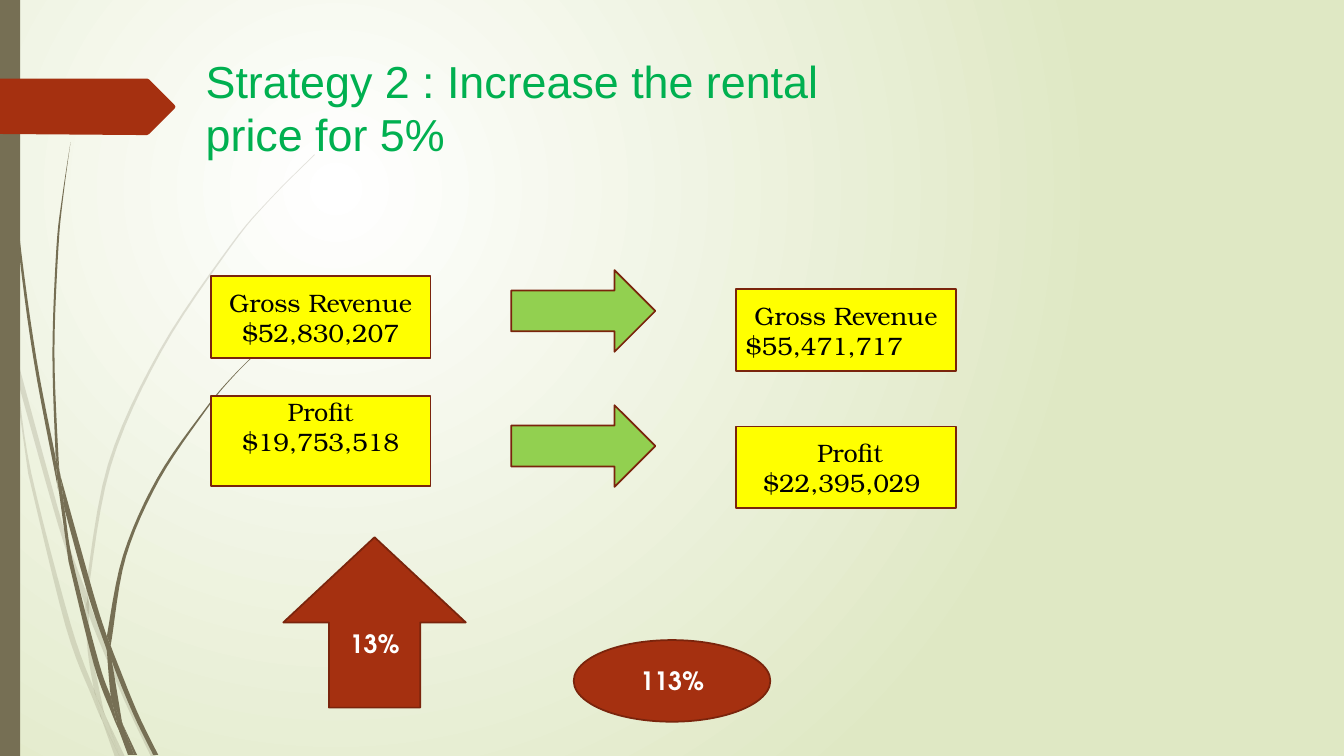
"""Build the rental price strategy slide."""
from dataclasses import dataclass

from lxml import etree
from pptx import Presentation
from pptx.dml.color import RGBColor
from pptx.enum.shapes import MSO_SHAPE
from pptx.enum.text import MSO_ANCHOR, MSO_AUTO_SIZE, PP_ALIGN
from pptx.oxml import parse_xml
from pptx.oxml.ns import qn
from pptx.util import Inches, Pt

RECTANGLE, OVAL = MSO_SHAPE.RECTANGLE, MSO_SHAPE.OVAL
RIGHT_ARROW, UP_ARROW = MSO_SHAPE.RIGHT_ARROW, MSO_SHAPE.UP_ARROW
TOP, MIDDLE = MSO_ANCHOR.TOP, MSO_ANCHOR.MIDDLE
LEFT, CENTER = PP_ALIGN.LEFT, PP_ALIGN.CENTER
FIXED_SIZE = MSO_AUTO_SIZE.NONE
TITLE_ONLY = 5


@dataclass(frozen=True)
class Theme:
    """Colours, fonts and sizes of the slide."""
    olive: str = "766F54"
    rust: str = "A53010"
    outline: str = "7A240C"
    yellow: str = "FFFF00"
    lime: str = "92D050"
    green: str = "00B050"
    black: str = "000000"
    white: str = "FFFFFF"
    sage: str = "DFE8C4"
    title_font: str = "Arial"
    figure_font: str = "TeX Gyre Bonum"
    badge_font: str = "TeX Gyre Adventor"
    title_size: int = 32
    body_size: int = 18
    line_width: float = 1.25


THEME = Theme()

PALE_BLADES = [
    ([(0.11, 3.5), (0.09, 3.22), (0, 2.82)], [(0, 2.99), (0.1, 3.44)]),
    ([(0.85, 5.86), (0.62, 5.2), (0.14, 3.45)],
     [(0.17, 3.76), (0.58, 5.22), (0.84, 5.99)]),
    ([(0.88, 5.96), (0.88, 6.1), (1.23, 6.94), (1.5, 7.51)],
     [(1.55, 7.51), (1.27, 6.92), (0.92, 6.07)]),
    ([(1.05, 7.11), (1.19, 7.51)], [(1.24, 7.51)]),
    ([(0.93, 6.83), (0.7, 6.19), (0.31, 4.69), (0.17, 3.76), (0.11, 3.5)],
     [(0.28, 4.7), (0.65, 6.21), (0.92, 6.93), (1.01, 7.14), (0.99, 7.07)]),
    ([(0.84, 5.99), (0.87, 6.46), (0.93, 6.83), (0.96, 6.92), (1.05, 7.11)],
     [(1.03, 7.06), (0.91, 6.46), (0.88, 6.1)]),
    ([(0.88, 5.96), (0.88, 5.84), (1.1, 4.62), (1.6, 3.49), (2.29, 2.45),
      (2.68, 1.98), (3.12, 1.54)],
     [(3.12, 1.53), (2.68, 1.97), (2.28, 2.44), (1.58, 3.48), (1.07, 4.61),
      (0.85, 5.84)]),
    ([(1.01, 7.14), (1.14, 7.51)], [(1.19, 7.51)]),
    ([(0.88, 6.1), (0.88, 5.96), (0.85, 5.86)], [(0.84, 5.99)]),
    ([(0.93, 6.83), (0.99, 7.07), (1.01, 7.14), (1.19, 7.51)],
     [(1.19, 7.51), (1.05, 7.11), (0.96, 6.92)]),
]

DARK_BLADES = [
    ([(0.03, 0), (0.04, 0.48), (0.07, 1.1), (0.17, 2.33), (0.33, 3.55),
      (0.56, 4.77), (0.57, 4.81)],
     [(0.55, 4.53), (0.36, 3.55), (0.19, 2.32), (0.08, 1.09), (0.05, 0.48),
      (0.04, 0)]),
    ([(1.06, 6.31), (0.93, 5.9), (0.6, 4.72)],
     [(0.64, 5.05), (0.88, 5.92), (1.06, 6.45)]),
    ([(1.1, 6.41), (1.11, 6.56), (1.32, 7.08), (1.52, 7.49)],
     [(1.57, 7.49), (1.36, 7.06), (1.13, 6.49)]),
    ([(1.1, 6.91), (0.98, 6.57), (0.72, 5.56), (0.64, 5.05), (0.57, 4.77)],
     [(0.68, 5.57), (0.93, 6.59), (1.11, 7.08), (1.17, 7.22), (1.16, 7.17)]),
    ([(0.6, 4.72), (0.58, 4.53), (0.54, 3.49), (0.58, 2.45), (0.63, 1.93),
      (0.7, 1.41)],
     [(0.7, 1.41), (0.62, 1.93), (0.56, 2.45), (0.52, 3.49), (0.55, 4.49)]),
    ([(1.22, 7.19), (1.33, 7.49)], [(1.36, 7.49)]),
    ([(0.55, 4.49), (0.57, 4.77), (0.64, 5.05)], [(0.6, 4.72)]),
    ([(1.1, 6.41), (1.11, 6.33), (1.25, 5.52), (1.58, 4.76), (2.05, 4.06),
      (2.31, 3.74), (2.61, 3.44)],
     [(2.6, 3.44), (2.31, 3.73), (2.04, 4.05), (1.56, 4.74), (1.22, 5.51),
      (1.06, 6.31)]),
    ([(1.17, 7.22), (1.27, 7.49)], [(1.31, 7.49)]),
    ([(1.06, 6.45), (1.1, 6.91), (1.16, 7.06), (1.22, 7.19)],
     [(1.21, 7.16), (1.11, 6.56), (1.09, 6.51)]),
    ([(1.06, 6.31), (1.06, 6.45), (1.11, 6.56)], [(1.1, 6.41)]),
    ([(1.1, 6.91), (1.16, 7.17), (1.17, 7.22), (1.3, 7.49)],
     [(1.33, 7.49), (1.22, 7.19), (1.16, 7.06)]),
]

TAG = [(0, 0.78), (1.46, 0.78), (1.48, 0.79), (1.73, 1.04), (1.74, 1.06),
       (1.73, 1.08), (1.48, 1.33), (1.46, 1.34), (1.36, 1.34), (0, 1.33)]


def smooth(edge, steps=6):
    """Return points on a smooth curve through the points of an edge."""
    padded = [edge[0], *edge, edge[-1]]
    curve = [edge[0]]
    for before, start, end, after in zip(padded, padded[1:], padded[2:], padded[3:]):
        for step in range(1, steps + 1):
            t = step / steps
            curve.append(tuple(
                b + (c - a) * t / 2
                + (2 * a - 5 * b + 4 * c - d) * t ** 2 / 2
                + (3 * b - a - 3 * c + d) * t ** 3 / 2
                for a, b, c, d in zip(before, start, end, after)))
    return curve


def paint(shape, fill, line=None, opacity=100):
    """Set fill, outline and opacity, without a shadow."""
    shape.shadow.inherit = False
    shape.fill.solid()
    shape.fill.fore_color.rgb = RGBColor.from_string(fill)
    if opacity < 100:
        color = shape.element.spPr.find(f"{qn('a:solidFill')}/{qn('a:srgbClr')}")
        etree.SubElement(color, qn("a:alpha"), val=str(opacity * 1000))
    if line:
        shape.line.color.rgb = RGBColor.from_string(line)
        shape.line.width = Pt(THEME.line_width)
    else:
        shape.line.fill.background()


def add_outline(shapes, points, fill, opacity=100):
    """Add a closed outline through points given in inches."""
    corners = [(Inches(x), Inches(y)) for x, y in points]
    builder = shapes.build_freeform(*corners[0])
    builder.add_line_segments(corners[1:], close=True)
    paint(builder.convert_to_shape(), fill, opacity=opacity)


def add_grass(slide, blades, opacity=100):
    """Add a group of curved grass blades."""
    group = slide.shapes.add_group_shape()
    for outward, back in blades:
        add_outline(group.shapes, smooth(outward) + smooth(back), THEME.olive, opacity)


def add_figure(slide, kind, at, fill, line=THEME.outline):
    """Add a preset shape at left, top, width, height in inches."""
    shape = slide.shapes.add_shape(kind, *map(Inches, at))
    paint(shape, fill, line)
    return shape


def write(shape, lines, font, size, color, bold=False, anchor=MIDDLE):
    """Write lines, each a text with its alignment, into a shape."""
    frame = shape.text_frame
    frame.word_wrap = True
    frame.vertical_anchor = anchor
    for index, (text, alignment) in enumerate(lines):
        para = frame.add_paragraph() if index else frame.paragraphs[0]
        para.alignment = alignment
        span = para.add_run()
        span.text = text
        span.font.name, span.font.size, span.font.bold = font, Pt(size), bold
        span.font.color.rgb = RGBColor.from_string(color)


def set_background(slide):
    """Give the slide a circular gradient from white to sage."""
    stops = "".join(f'<a:gs pos="{place}"><a:srgbClr val="{color}"/></a:gs>'
                    for place, color in ((0, THEME.white), (100000, THEME.sage)))
    slide.shapes.element.getparent().insert(0, parse_xml(
        '<p:bg xmlns:p="http://schemas.openxmlformats.org/presentationml/2006/main"'
        ' xmlns:a="http://schemas.openxmlformats.org/drawingml/2006/main"><p:bgPr>'
        f'<a:gradFill><a:gsLst>{stops}</a:gsLst><a:path path="circle">'
        '<a:fillToRect l="50000" t="50000" r="100000" b="100000"/></a:path>'
        '</a:gradFill><a:effectLst/></p:bgPr></p:bg>'))


def add_title(slide, text):
    """Place the title in front of the decoration."""
    title = slide.shapes.title
    title.element.getparent().append(title.element)
    title.left, title.top, title.width, title.height = map(Inches, (1.94, 0.48, 6.67, 1.18))
    write(title, [(text, LEFT)], THEME.title_font, THEME.title_size, THEME.green, anchor=TOP)
    title.text_frame.auto_size = FIXED_SIZE


def main():
    """Build and save the deck."""
    deck = Presentation()
    deck.slide_width, deck.slide_height = Inches(13.33), Inches(7.5)
    page = deck.slides.add_slide(deck.slide_layouts[TITLE_ONLY])
    set_background(page)
    add_grass(page, PALE_BLADES, opacity=20)
    add_grass(page, DARK_BLADES)
    add_figure(page, RECTANGLE, (0, 0, 0.2, 7.5), THEME.olive, None)
    add_outline(page.shapes, TAG, THEME.rust)

    for left, top, height, label, amount, alignment, anchor in (
            (2.09, 2.74, 0.81, "Gross Revenue", "$52,830,207", CENTER, MIDDLE),
            (2.09, 3.93, 0.89, "Profit", "$19,753,518", CENTER, TOP),
            (7.3, 4.23, 0.81, " Profit", "$22,395,029 ", CENTER, MIDDLE),
            (7.3, 2.87, 0.81, "Gross Revenue", "$55,471,717", LEFT, MIDDLE)):
        box = add_figure(page, RECTANGLE, (left, top, 2.18, height), THEME.yellow)
        write(box, [(label, CENTER), (amount, alignment)],
              THEME.figure_font, THEME.body_size, THEME.black, anchor=anchor)
        if anchor == TOP:
            box.text_frame.margin_top = 0
    for top in (2.68, 4.02):
        add_figure(page, RIGHT_ARROW, (5.07, top, 1.43, 0.81), THEME.lime)
    add_title(page, "Strategy 2 : Increase the rental price for 5%")
    for kind, at, share in ((UP_ARROW, (2.81, 5.33, 1.81, 1.69), "13%"),
                            (OVAL, (5.69, 6.35, 1.95, 0.81), "113%")):
        write(add_figure(page, kind, at, THEME.rust), [(share, CENTER)],
              THEME.badge_font, THEME.body_size, THEME.white, bold=True)
    deck.save("out.pptx")


if __name__ == "__main__":
    main()
